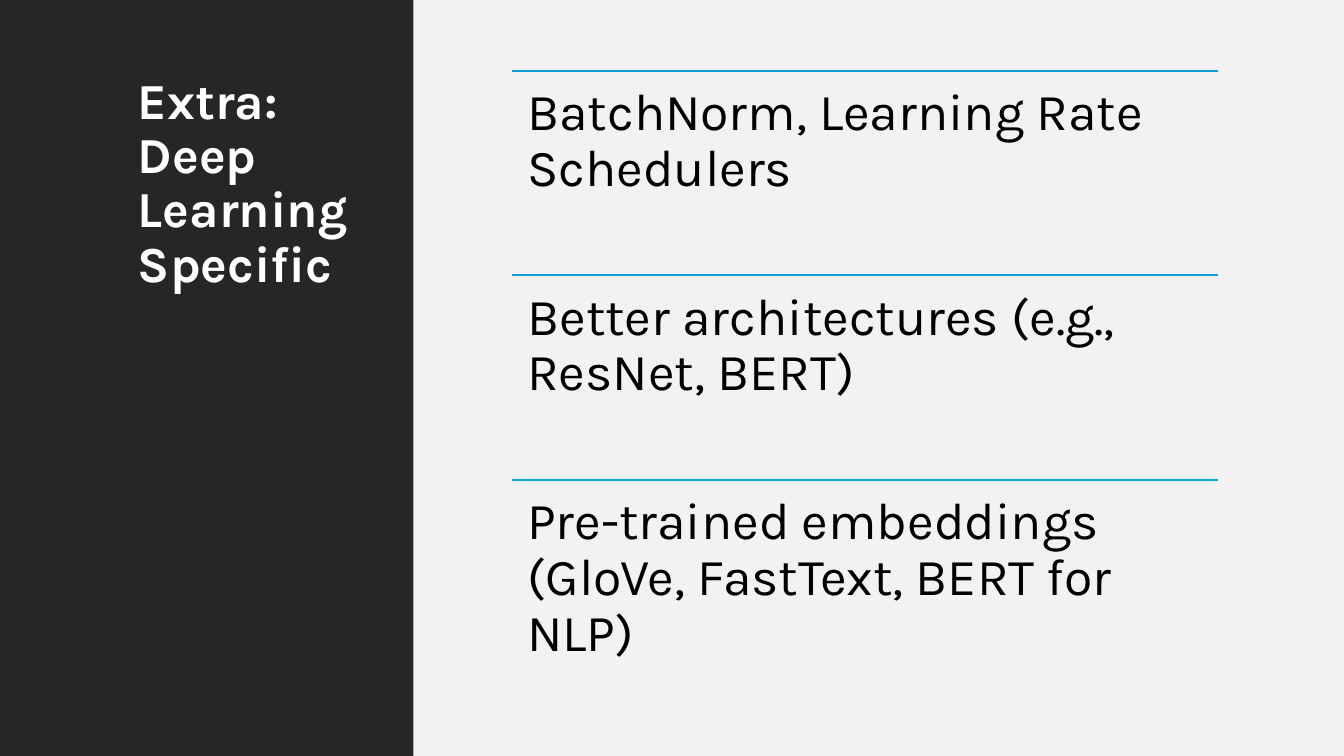
from dataclasses import dataclass

from lxml import etree
from pptx import Presentation, util as u
from pptx.dml.color import RGBColor
from pptx.enum import shapes, text
from pptx.oxml.ns import qn
from pptx.slide import Slide

PX = 9144
WIDTH, HEIGHT = 1333, 750
COLORS = {
    "panel": "F2F2F2",
    "sidebar": "262626",
    "rule": "0F9ED5",
    "title": "FFFFFF",
    "topic": "000000",
}
SIDEBAR_WIDTH = 410
TOPIC_LEFT, TOPIC_TOP = 508, 70
TOPIC_WIDTH, TOPIC_HEIGHT = 700, 203
TOPICS = (
    "BatchNorm, Learning Rate Schedulers",
    "Better architectures (e.g., ResNet, BERT)",
    "Pre-trained embeddings (GloVe, FastText, BERT for NLP)",
)


@dataclass(frozen=True)
class Box:
    left: int
    top: int
    width: int
    height: int

    def emu(self) -> tuple[int, ...]:
        return tuple(value * PX for value in (self.left, self.top, self.width, self.height))


@dataclass(frozen=True)
class TextStyle:
    color: str
    size: int
    bold: bool
    inset_x: int
    inset_y: int


TITLE = TextStyle("title", 36, True, 10, 5)
TOPIC = TextStyle("topic", 37, False, 15, 15)


def rgb(name: str) -> RGBColor:
    return RGBColor.from_string(COLORS[name])


def apply_format(target: object, values: dict[str, object]) -> None:
    for name, value in values.items():
        setattr(target, name, value)


def add_panel(slide: Slide, box: Box, color: str) -> None:
    shape = slide.shapes.add_shape(shapes.MSO_SHAPE.RECTANGLE, *box.emu())
    shape.shadow.inherit = False
    shape.fill.solid()
    shape.fill.fore_color.rgb = rgb(color)
    shape.line.fill.background()


def add_rule(slide: Slide, left: int, top: int, width: int) -> None:
    connector = slide.shapes.add_connector(
        shapes.MSO_CONNECTOR.STRAIGHT, left * PX, top * PX, (left + width) * PX, top * PX
    )
    connector.line.color.rgb = rgb("rule")
    connector.line.width = u.Pt(1.5)
    etree.SubElement(connector._element.spPr, qn("a:effectLst"))


def add_text(slide: Slide, box: Box, words: str, style: TextStyle) -> None:
    frame = slide.shapes.add_textbox(*box.emu()).text_frame
    apply_format(frame, {
        "word_wrap": True,
        "auto_size": text.MSO_AUTO_SIZE.NONE,
        "vertical_anchor": text.MSO_ANCHOR.TOP,
        "margin_left": style.inset_x * PX,
        "margin_right": style.inset_x * PX,
        "margin_top": style.inset_y * PX,
        "margin_bottom": style.inset_y * PX,
    })
    paragraph = frame.paragraphs[0]
    apply_format(paragraph, {"line_spacing": 0.9, "alignment": text.PP_ALIGN.LEFT})
    run = paragraph.add_run()
    run.text = words
    apply_format(run.font, {"name": "Karla", "size": u.Pt(style.size), "bold": style.bold})
    run.font.color.rgb = rgb(style.color)


def main() -> None:
    presentation = Presentation()
    apply_format(presentation, {"slide_width": WIDTH * PX, "slide_height": HEIGHT * PX})
    slide = presentation.slides.add_slide(presentation.slide_layouts[6])

    add_panel(slide, Box(SIDEBAR_WIDTH, 0, WIDTH - SIDEBAR_WIDTH, HEIGHT), "panel")
    add_panel(slide, Box(0, 0, SIDEBAR_WIDTH, HEIGHT), "sidebar")
    add_text(slide, Box(127, 70, 240, 610), "Extra: Deep Learning Specific", TITLE)

    for index, topic in enumerate(TOPICS):
        top = TOPIC_TOP + index * TOPIC_HEIGHT
        add_rule(slide, TOPIC_LEFT, top, TOPIC_WIDTH)
        add_text(slide, Box(TOPIC_LEFT, top, TOPIC_WIDTH, TOPIC_HEIGHT), topic, TOPIC)

    presentation.save("out.pptx")


if __name__ == "__main__":
    main()
